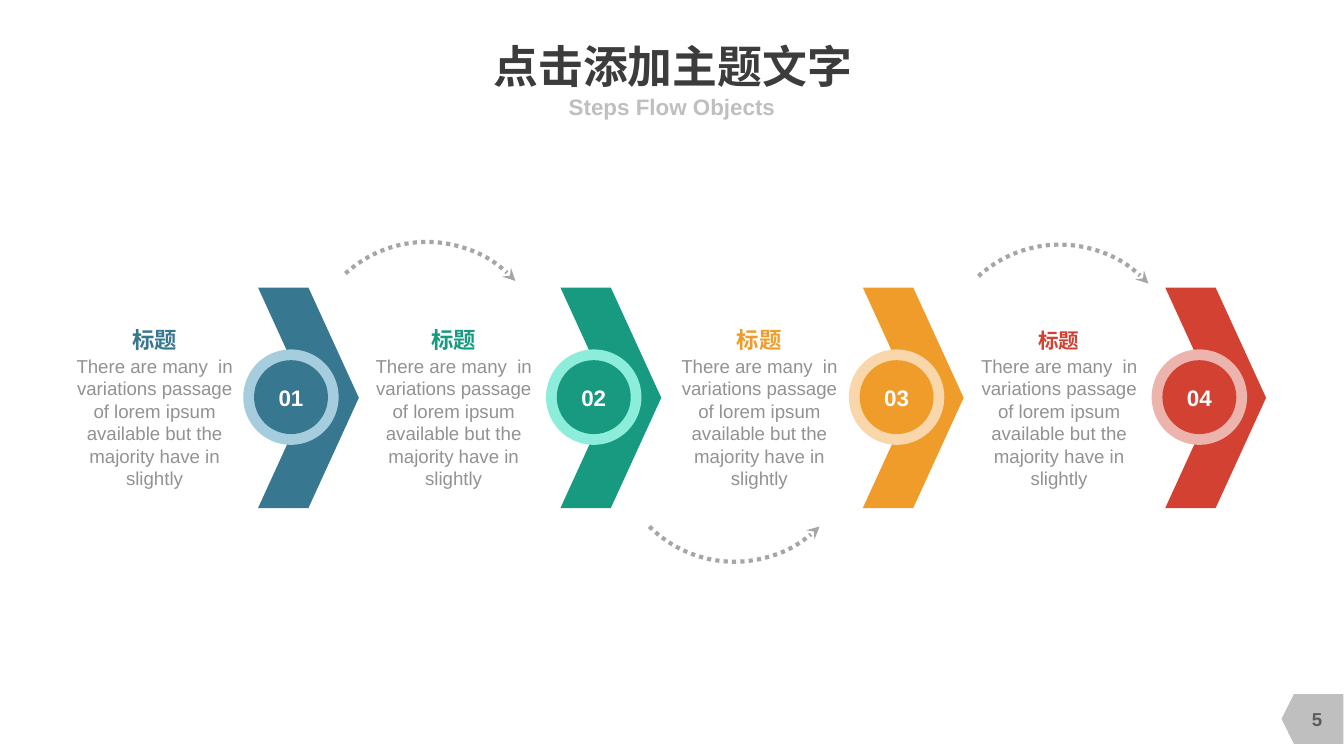
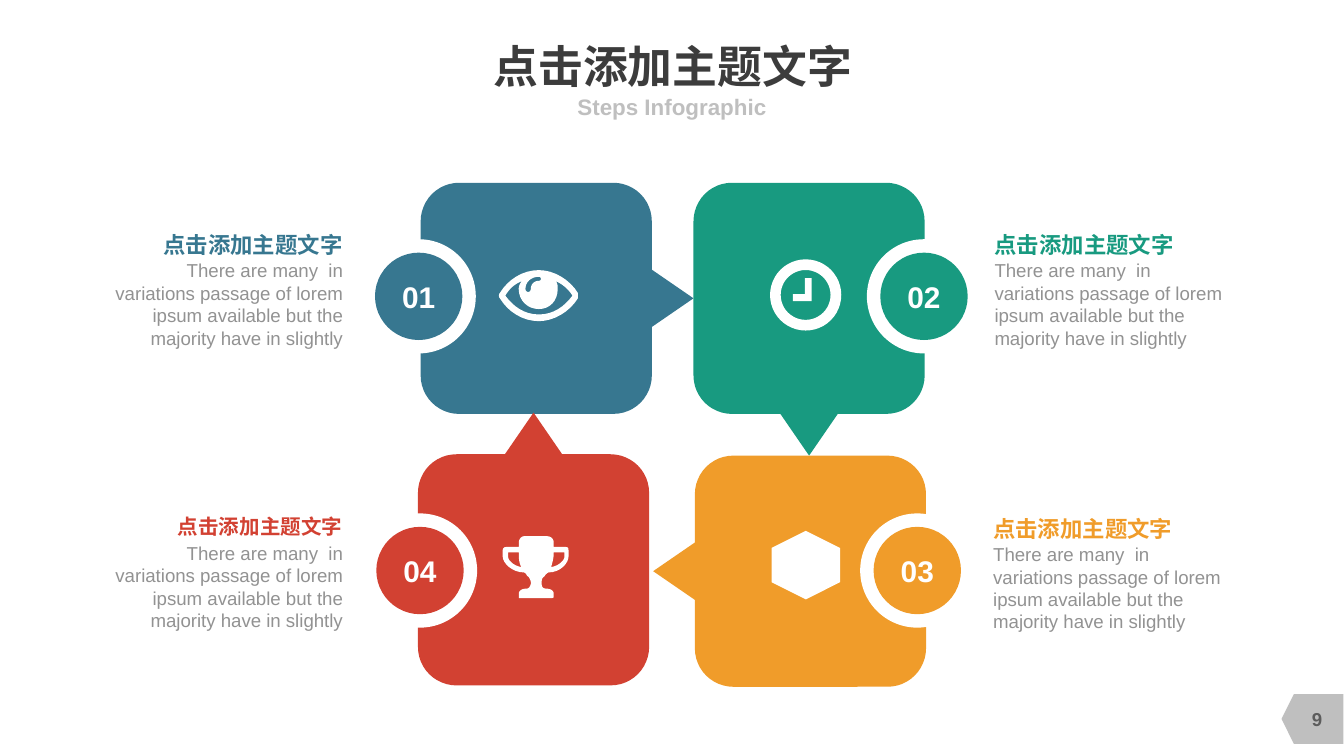
import math

import pptx
import pptx.dml.color
import pptx.enum.dml
import pptx.enum.shapes
import pptx.enum.text
import pptx.oxml
import pptx.oxml.ns
import pptx.util

RGBColor = pptx.dml.color.RGBColor
SHAPE = pptx.enum.shapes.MSO_SHAPE
ALIGN = pptx.enum.text.PP_ALIGN
ANCHOR = pptx.enum.text.MSO_ANCHOR

BLUE = RGBColor(0x37, 0x77, 0x90)
GREEN = RGBColor(0x18, 0x9A, 0x80)
ORANGE = RGBColor(0xF0, 0x9C, 0x2A)
RED = RGBColor(0xD2, 0x41, 0x32)
PALE_BLUE = RGBColor(0xA5, 0xCD, 0xDD)
PALE_GREEN = RGBColor(0x8C, 0xED, 0xDA)
PALE_ORANGE = RGBColor(0xF9, 0xD7, 0xAA)
PALE_RED = RGBColor(0xED, 0xB3, 0xAD)
WHITE = RGBColor(0xFF, 0xFF, 0xFF)
TITLE_GRAY = RGBColor(0x3C, 0x3C, 0x3C)
BODY_GRAY = RGBColor(0x92, 0x92, 0x92)
TAG_GRAY = RGBColor(0xBF, 0xBF, 0xBF)
NUMBER_GRAY = RGBColor(0x5C, 0x5C, 0x5C)
ARROW_GRAY = RGBColor(0xA6, 0xA6, 0xA6)

COLUMNS, ROWS = 100, 56.25
HEADLINE = "点击添加主题文字"
BODY = ("There are many  in variations passage of lorem ipsum "
        "available but the majority have in slightly")

EYE = [
    [(43, 22.2), (42.4, 23.2, 41.2, 23.9, 40.1, 23.9),
     (38.9, 23.9, 37.8, 23.2, 37.2, 22.2), (37.1, 22.1, 37.1, 21.9, 37.2, 21.8),
     (37.8, 20.8, 38.9, 20.1, 40.1, 20.1), (41.2, 20.1, 42.4, 20.8, 43, 21.8),
     (43, 21.9, 43, 22.1, 43, 22.2)],
    [(41.3, 20.9), (41.5, 21, 41.5, 21.3, 41.5, 21.5),
     (41.5, 22.4, 40.9, 23, 40.1, 23), (39.3, 23, 38.6, 22.4, 38.6, 21.5),
     (38.6, 21.3, 38.7, 21, 38.9, 20.9), (38.3, 21.1, 37.9, 21.5, 37.6, 22),
     (38.2, 22.8, 39, 23.4, 40.1, 23.4), (41.2, 23.4, 42, 22.8, 42.6, 22),
     (42.3, 21.5, 41.8, 21.1, 41.3, 20.9)],
    [(40.1, 20.6), (39.5, 20.6, 39.1, 21, 39.1, 21.5),
     (39.1, 21.8, 39.5, 21.8, 39.5, 21.5), (39.5, 21.2, 39.7, 20.9, 40.1, 20.9),
     (40.3, 20.9, 40.3, 20.6, 40.1, 20.6)],
]
TROPHY = [
    [(42.3, 41.4), (42.3, 41.9, 41.7, 42.6, 40.8, 42.6),
     (40.6, 42.7, 40.5, 42.9, 40.5, 42.9), (40.3, 43, 40.3, 43.2, 40.3, 43.4),
     (40.3, 43.5, 40.3, 43.8, 40.6, 43.8), (40.9, 43.8, 41.2, 43.9, 41.2, 44.2),
     (41.2, 44.4), (41.2, 44.5, 41.1, 44.5, 41.1, 44.5), (38.6, 44.5),
     (38.6, 44.2), (38.6, 43.9, 38.9, 43.8, 39.2, 43.8),
     (39.4, 43.8, 39.5, 43.5, 39.5, 43.4), (39.5, 43.2, 39.4, 43, 39.3, 42.9),
     (39.2, 42.9, 39.2, 42.7, 39, 42.6), (38.1, 42.6, 37.4, 41.9, 37.4, 41.4),
     (37.4, 41), (37.4, 40.8, 37.5, 40.7, 37.7, 40.7), (38.6, 40.7),
     (38.6, 40.4), (38.6, 40.1, 38.8, 39.9, 39, 39.9), (40.7, 39.9),
     (41, 39.9, 41.2, 40.1, 41.2, 40.4), (41.2, 40.7), (42, 40.7),
     (42.3, 40.7, 42.3, 40.8, 42.3, 41)],
    [(38.6, 41.1), (37.8, 41.1), (37.8, 41.4),
     (37.8, 41.7, 38.2, 42.1, 38.8, 42.2), (38.6, 41.9, 38.6, 41.5, 38.6, 41.1)],
    [(42, 41.1), (41.2, 41.1), (41.2, 41.5, 41.1, 41.9, 41, 42.2),
     (41.6, 42.1, 42, 41.7, 42, 41.4)],
]
CLOCK_HANDS = [[(60.4, 20.7), (60.4, 22.4), (59, 22.4), (59, 21.9),
                (59.9, 21.9), (59.9, 20.7)]]


def flatten(contour, steps=8):
    points = [contour[0]]
    for segment in contour[1:]:
        if len(segment) == 2:
            points.append(segment)
            continue
        corners = [points[-1], segment[:2], segment[2:4], segment[4:]]
        for step in range(1, steps + 1):
            t = step / steps
            weights = ((1 - t) ** 3, 3 * t * (1 - t) ** 2, 3 * t * t * (1 - t), t ** 3)
            points.append(tuple(sum(weight * corner[axis] for weight, corner
                                    in zip(weights, corners)) for axis in (0, 1)))
    return points


class Deck:
    font = "Arial"

    def __init__(self):
        self.presentation = pptx.Presentation()
        self.presentation.slide_width = pptx.util.Inches(10)
        self.presentation.slide_height = pptx.util.Inches(5.625)
        self.column = self.presentation.slide_width / COLUMNS
        self.row = self.presentation.slide_height / ROWS
        self.slide = None

    def place(self, x, y):
        return round(x * self.column), round(y * self.row)

    def start_slide(self, subtitle, number):
        self.slide = self.presentation.slides.add_slide(self.presentation.slide_layouts[6])
        self.shape(SHAPE.FLOWCHART_OFFPAGE_CONNECTOR, 95.8, 51.2, 3.7, 4.6, TAG_GRAY, 90)
        self.text(95.5, 52, 5, 3, number, 10, NUMBER_GRAY, bold=True)
        self.text(19.2, 2.9, 61.7, 3.9, HEADLINE, 24, TITLE_GRAY, bold=True, wrap=False)
        self.text(27.5, 6.8, 45, 2.2, subtitle, 12, TAG_GRAY, bold=True)

    def fill_text(self, frame, text, size, color, bold, align, anchor, wrap):
        frame.margin_left = frame.margin_right = frame.margin_top = frame.margin_bottom = 0
        frame.word_wrap = wrap
        frame.vertical_anchor = anchor
        paragraph = frame.paragraphs[0]
        paragraph.alignment = align
        run = paragraph.add_run()
        run.text = text
        run.font.name = self.font
        run.font.size = pptx.util.Pt(size)
        run.font.bold = bold
        run.font.color.rgb = color

    def text(self, left, top, width, height, text, size, color, bold=False,
             align=ALIGN.CENTER, anchor=ANCHOR.MIDDLE, wrap=True):
        box = self.slide.shapes.add_textbox(*self.place(left, top), *self.place(width, height))
        self.fill_text(box.text_frame, text, size, color, bold, align, anchor, wrap)

    def paint(self, shape, color):
        shape.shadow.inherit = False
        shape.fill.solid()
        shape.fill.fore_color.rgb = color
        shape.line.fill.background()

    def shape(self, kind, left, top, width, height, color, rotation=0):
        shape = self.slide.shapes.add_shape(
            kind, *self.place(left, top), *self.place(width, height))
        shape.rotation = rotation
        self.paint(shape, color)
        return shape

    def badge(self, left, top, outer, inner, ring_color, color, label, size):
        inset = (outer - inner) / 2
        self.shape(SHAPE.OVAL, left, top, outer, outer, ring_color)
        disc = self.shape(SHAPE.OVAL, left + inset, top + inset, inner, inner, color)
        self.fill_text(disc.text_frame, label, size, WHITE, True, ALIGN.CENTER,
                       ANCHOR.MIDDLE, True)

    def caption(self, left, top, width, height, heading, heading_width, size, color, align):
        share = {ALIGN.LEFT: 0, ALIGN.CENTER: 0.5, ALIGN.RIGHT: 1}[align]
        self.text(left + (width - heading_width) * share, top, heading_width, 2,
                  heading, size, color, bold=True, align=align, wrap=False)
        self.text(left, top + 2.1, width, height, BODY, 10, BODY_GRAY,
                  align=align, anchor=ANCHOR.TOP)

    def curved_arrow(self, left, top, rotation, flipped):
        arc = self.slide.shapes.add_shape(
            SHAPE.ARC, *self.place(left, top), *self.place(17.9, 17.9))
        arc.shadow.inherit = False
        arc.rotation = rotation
        arc.fill.background()
        arc.line.color.rgb = ARROW_GRAY
        arc.line.width = pptx.util.Pt(2.25)
        arc.line.dash_style = pptx.enum.dml.MSO_LINE.ROUND_DOT
        properties = arc.element.spPr
        if flipped:
            properties.find(pptx.oxml.ns.qn("a:xfrm")).set("flipH", "1")
        properties.find(pptx.oxml.ns.qn("a:ln")).append(pptx.oxml.parse_xml(
            f'<a:tailEnd {pptx.oxml.ns.nsdecls("a")} type="stealth"/>'))

    def icon(self, contours):
        outlines = [[self.place(*point) for point in flatten(contour)] for contour in contours]
        builder = self.slide.shapes.build_freeform(*outlines[0][0], scale=1.0)
        builder.add_line_segments(outlines[0][1:], close=True)
        for outline in outlines[1:]:
            builder.move_to(*outline[0])
            builder.add_line_segments(outline[1:], close=True)
        self.paint(builder.convert_to_shape(), WHITE)

    def panel(self, left, top, color, direction):
        side, reach, base, depth = 17.2, 10.1, 4.4, 3.2
        self.shape(SHAPE.FLOWCHART_ALTERNATE_PROCESS, left, top, side, side, color)
        angle = math.radians(direction)
        center_x = left + side / 2 + reach * math.sin(angle)
        center_y = top + side / 2 - reach * math.cos(angle)
        self.shape(SHAPE.ISOSCELES_TRIANGLE, center_x - base / 2, center_y - depth / 2,
                   base, depth, color, direction)


def build_flow(deck):
    deck.start_slide("Steps Flow Objects", "5")
    steps = [(BLUE, PALE_BLUE, 11.5, 12), (GREEN, PALE_GREEN, 33.75, 12),
             (ORANGE, PALE_ORANGE, 56.5, 12), (RED, PALE_RED, 78.8, 11)]
    text_width = 12.4
    for index, (color, pale, center, size) in enumerate(steps):
        deck.caption(center - text_width / 2, 24.3, text_width, 10.1, "标题", 3.4,
                     size, color, ALIGN.CENTER)
        deck.shape(SHAPE.CHEVRON, 19.2 + 22.5 * index, 21.4, 7.5, 16.4, color)
        deck.badge(18.1 + 22.53 * index, 26, 7.1, 5.5, pale, color, f"{index + 1:02}", 12)
    for left, top, rotation, flipped in [(22.8, 18, 317.5, False), (45.7, 23.9, 225, True),
                                         (69.9, 18.2, 317.5, False)]:
        deck.curved_arrow(left, top, rotation, flipped)


def build_cycle(deck):
    deck.start_slide("Steps Infographic", "9")
    panels = [(BLUE, 31.3, 13.6, 90), (GREEN, 51.6, 13.6, 180),
              (ORANGE, 51.7, 33.9, 270), (RED, 31.1, 33.8, 0)]
    for color, left, top, direction in panels:
        deck.panel(left, top, color, direction)
    notes = [(BLUE, 26.9, 17.8, 7.8, 17.2, ALIGN.RIGHT, 12),
             (GREEN, 64.5, 17.8, 74, 17.2, ALIGN.LEFT, 12),
             (ORANGE, 64, 38.2, 73.9, 38.3, ALIGN.LEFT, 12),
             (RED, 27, 38.2, 7.8, 38.2, ALIGN.RIGHT, 11)]
    for number, (color, badge_x, badge_y, left, top, align, size) in enumerate(notes, 1):
        deck.badge(badge_x, badge_y, 8.5, 6.5, WHITE, color, f"{number:02}", 16)
        deck.caption(left, top, 17.7, 6.7, HEADLINE, 13.5 if size == 12 else 12.3,
                     size, color, align)
    deck.icon(EYE)
    clock = deck.shape(SHAPE.DONUT, 57.3, 19.3, 5.3, 5.3, WHITE)
    clock.adjustments[0] = 0.15
    deck.icon(CLOCK_HANDS)
    deck.shape(SHAPE.HEXAGON, 57.4, 39.5, 5.1, 5.1, WHITE, 90)
    deck.icon(TROPHY)


def main():
    deck = Deck()
    build_flow(deck)
    build_cycle(deck)
    deck.presentation.save("out.pptx")


if __name__ == "__main__":
    main()
